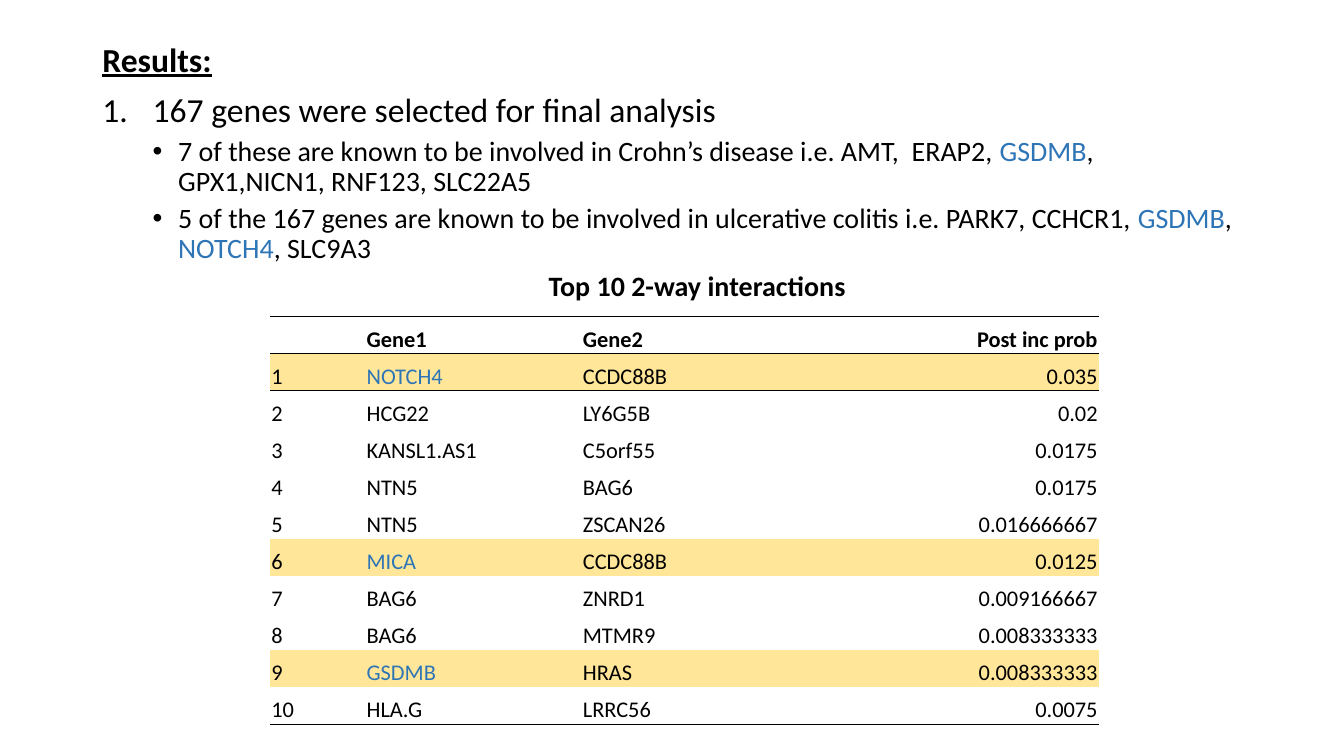
from lxml.etree import SubElement
from pptx import Presentation
from pptx.dml.color import RGBColor
from pptx.enum.text import MSO_ANCHOR, PP_ALIGN
from pptx.oxml import parse_xml
from pptx.oxml.ns import nsdecls, qn
from pptx.util import Cm, Pt

COLORS = {"text": "000000", "gene": "2E75B6", "highlight": "FFE699"}
NO_STYLE = "{2D5ABB26-0587-4C30-8999-92F81FD0307C}"


def add_runs(p, text, **font):
    """Add text to a paragraph; parts between bars take the gene colour."""
    for i, part in enumerate(text.split("|")):
        if part:
            r = p.add_run()
            r.text = part
            r.font.name = "Calibri"
            r.font.color.rgb = RGBColor.from_string(COLORS["gene" if i % 2 else "text"])
            for name, value in font.items():
                setattr(r.font, name, value)


def add_rule(cell, side):
    """Draw a thin line along the top (lnT) or bottom (lnB) of a cell."""
    rule = parse_xml(
        f'<a:{side} {nsdecls("a")} w="6350"><a:solidFill>'
        f'<a:srgbClr val="{COLORS["text"]}"/></a:solidFill></a:{side}>')
    tcPr = cell._tc.get_or_add_tcPr()
    tcPr.insert(len(tcPr.findall(qn("a:lnT"))), rule)


prs = Presentation()
prs.slide_width, prs.slide_height = Cm(33.87), Cm(19.05)
s = prs.slides.add_slide(prs.slide_layouts[6])

# Findings: text, level, left margin, first-line indent, bullet, font
number = ("buAutoNum", {"type": "arabicPeriod"})
dot = ("buChar", {"char": "•"})
findings = [
    ("Results:", 0, 0, 0, None, {"size": Pt(24), "bold": True, "underline": True}),
    ("167 genes were selected for final analysis", 0, 1.27, -1.27, number,
     {"size": Pt(24)}),
    ("7 of these are known to be involved in Crohn’s disease i.e. AMT,  ERAP2, "
     "|GSDMB|, GPX1,NICN1, RNF123, SLC22A5", 1, 1.91, -0.64, dot, {"size": Pt(20)}),
    ("5 of the 167 genes are known to be involved in ulcerative colitis i.e. PARK7, "
     "CCHCR1, |GSDMB|, |NOTCH4|, SLC9A3", 1, 1.91, -0.64, dot, {"size": Pt(20)}),
    ("Top 10 2-way interactions", 1, 1.27, 0, None, {"size": Pt(20), "bold": True}),
]
tf = s.shapes.add_textbox(Cm(2.33), Cm(0.97), Cm(29.21), Cm(17.55)).text_frame
tf.word_wrap = True
for i, (text, level, margin, indent, bullet, font) in enumerate(findings):
    p = tf.add_paragraph() if i else tf.paragraphs[0]
    p.level = level
    p.line_spacing = 0.9
    p.space_before = Pt(5 if level else 10)
    add_runs(p, text, **font)
    pPr = p._p.get_or_add_pPr()
    pPr.set("marL", str(Cm(margin)))
    pPr.set("indent", str(Cm(indent)))
    if bullet:
        tag, attributes = bullet
        if bullet is dot:
            SubElement(pPr, qn("a:buFont"), typeface="Arial")
        SubElement(pPr, qn(f"a:{tag}"), attributes)
p.alignment = PP_ALIGN.CENTER

# Interactions; rows with a known disease gene are highlighted
interactions = [
    ("|NOTCH4|", "CCDC88B", "0.035"),
    ("HCG22", "LY6G5B", "0.02"),
    ("KANSL1.AS1", "C5orf55", "0.0175"),
    ("NTN5", "BAG6", "0.0175"),
    ("NTN5", "ZSCAN26", "0.016666667"),
    ("|MICA|", "CCDC88B", "0.0125"),
    ("BAG6", "ZNRD1", "0.009166667"),
    ("BAG6", "MTMR9", "0.008333333"),
    ("|GSDMB|", "HRAS", "0.008333333"),
    ("HLA.G", "LRRC56", "0.0075"),
]
rows = [("", "Gene1", "Gene2", "Post inc prob")]
rows += [(str(n), *row) for n, row in enumerate(interactions, 1)]
widths = [2.4, 5.45, 6.79, 6.24]
cell_format = {"margin_left": Cm(0.03), "margin_right": Cm(0.03), "margin_top": Cm(0.03),
               "margin_bottom": 0, "vertical_anchor": MSO_ANCHOR.BOTTOM}

frame = s.shapes.add_table(len(rows), len(widths), Cm(6.81), Cm(7.98),
                           Cm(sum(widths)), Cm(0.933 * len(rows)))
table = frame.table
table.first_row = table.horz_banding = False
table._tbl.tblPr.find(qn("a:tableStyleId")).text = NO_STYLE
for column, width in zip(table.columns, widths):
    column.width = Cm(width)

for i, row in enumerate(rows):
    for j, text in enumerate(row):
        cell = table.cell(i, j)
        for name, value in cell_format.items():
            setattr(cell, name, value)
        if "|" in row[1]:
            cell.fill.solid()
            cell.fill.fore_color.rgb = RGBColor.from_string(COLORS["highlight"])
        else:
            cell.fill.background()
        p = cell.text_frame.paragraphs[0]
        p.alignment = PP_ALIGN.RIGHT if j == 3 else PP_ALIGN.LEFT
        add_runs(p, text, size=Pt(16), bold=i == 0)
        if i in (0, 1):
            add_rule(cell, "lnT")
        if i in (0, len(rows) - 1):
            add_rule(cell, "lnB")

prs.save("out.pptx")
